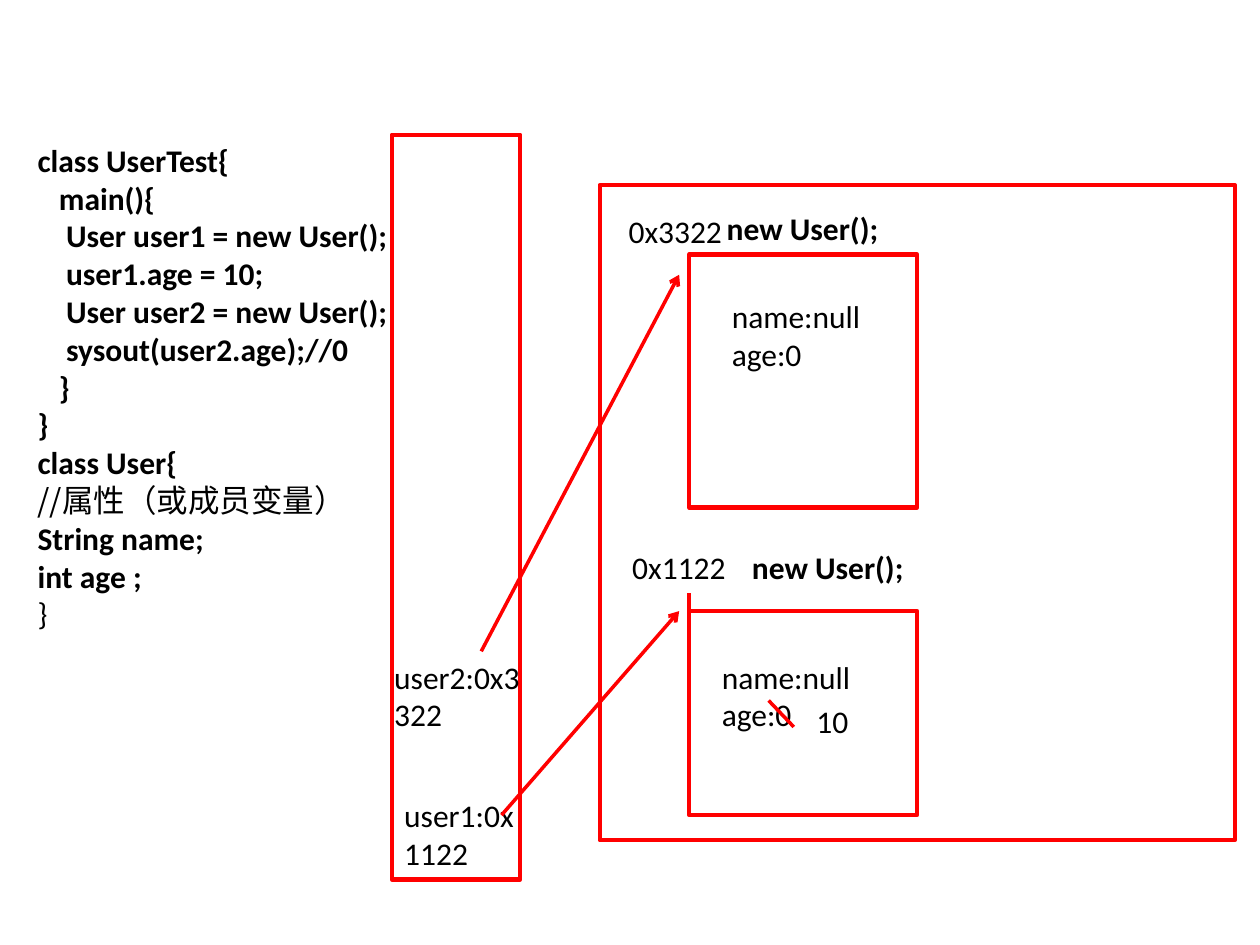
from lxml.etree import SubElement
from pptx import Presentation
from pptx.dml.color import RGBColor
from pptx.enum.shapes import MSO_CONNECTOR, MSO_SHAPE
from pptx.enum.text import MSO_AUTO_SIZE
from pptx.oxml.ns import qn
from pptx.util import Pt

RED = RGBColor(0xFF, 0x00, 0x00)
BLACK = RGBColor(0x00, 0x00, 0x00)
LATIN, CHINESE = "Calibri", "Noto Sans CJK SC"
COMMENT, CLOSING = "//属性（或成员变量）", "}"

# Program listing on the left
CODE = [
    "class UserTest{",
    "   main(){",
    "    User user1 = new User();",
    "    user1.age = 10;",
    "    User user2 = new User();",
    "    sysout(user2.age);//0",
    "   }",
    "}",
    "class User{",
    COMMENT,
    "String name;",
    "int age ;",
    CLOSING,
]
CODE_PLACE = (14.4, 77, 242, 291)

# Memory areas and objects: left, top, width, height
FRAMES = [
    (223.9, 77, 73.4, 425.5),       # stack
    (342.7, 105.8, 362.9, 374.4),   # heap
    (393.8, 349.2, 130.3, 116.6),   # first user
    (393.8, 145.4, 130.3, 144.7),   # second user
]

# Labels: lines, left, top, width, bold
FIELDS = ["name:null", "age:0"]
LABELS = [
    (["user1:0x1122"], 223.9, 451.4, 85, False),
    (["user2:0x3322"], 218.2, 372.2, 90.7, False),
    (["0x1122"], 354.2, 309.6, 68.4, False),
    (["0x3322"], 352.1, 117.4, 68.4, False),
    (["new User();"], 422.6, 309.6, 102.2, True),
    (["new User();"], 408.2, 115.9, 102.2, True),
    (FIELDS, 405.4, 372.2, 90.7, False),
    (FIELDS, 411.1, 166.3, 90.7, False),
    (["10"], 459.4, 397.4, 36.7, False),
]
ONE_LINE, TWO_LINES = 28.8, 51.1

# Lines: start x, start y, end x, end y, arrow
LINES = [
    (393.8, 339.1, 393.8, 349.2, False),
    (286.6, 465.8, 388.1, 349.2, True),    # user1 reference
    (275, 372.2, 388.1, 157, True),        # user2 reference
    (439.2, 400.3, 453.6, 415.4, False),   # strikes out the old age
]


def points(*lengths):
    return [Pt(length) for length in lengths]


def add_text(page, lines, place, bold=False, wrap=True):
    box = page.shapes.add_textbox(*points(*place))
    frame = box.text_frame
    frame.word_wrap = wrap
    frame.auto_size = MSO_AUTO_SIZE.SHAPE_TO_FIT_TEXT
    for number, line in enumerate(lines):
        para = frame.paragraphs[0] if number == 0 else frame.add_paragraph()
        span = para.add_run()
        span.text = line
        span.font.size = Pt(18)
        span.font.bold = bold
        span.font.color.rgb = BLACK
        span.font.name = LATIN
    return frame


def add_code(page):
    frame = add_text(page, CODE, CODE_PLACE, bold=True)
    frame.paragraphs[-1].runs[0].font.bold = False
    comment = frame.paragraphs[CODE.index(COMMENT)].runs[0]
    comment.font.bold = False
    comment.font.name = CHINESE
    properties = comment.font._element
    SubElement(properties, qn("a:ea"), typeface=CHINESE)


def add_frame(page, place):
    box = page.shapes.add_shape(MSO_SHAPE.RECTANGLE, *points(*place))
    box.shadow.inherit = False
    box.fill.background()
    box.line.color.rgb = RED
    box.line.width = Pt(2.5)


def add_line(page, ends, arrow):
    line = page.shapes.add_connector(MSO_CONNECTOR.STRAIGHT, *points(*ends))
    line.line.color.rgb = RED
    line.line.width = Pt(2)
    if arrow:
        SubElement(line.line._get_or_add_ln(), qn("a:tailEnd"), type="arrow")
    SubElement(line._element.spPr, qn("a:effectLst"))


def main():
    deck = Presentation()
    deck.slide_width, deck.slide_height = points(720, 540)
    page = deck.slides.add_slide(deck.slide_layouts[6])

    add_code(page)
    for place in FRAMES:
        add_frame(page, place)
    for lines, left, top, width, bold in LABELS:
        single = len(lines) == 1 and not lines[0].startswith("user")
        height = ONE_LINE if single else TWO_LINES
        add_text(page, lines, (left, top, width, height), bold, wrap=not bold)
    for *ends, arrow in LINES:
        add_line(page, ends, arrow)

    deck.save("out.pptx")


if __name__ == "__main__":
    main()
